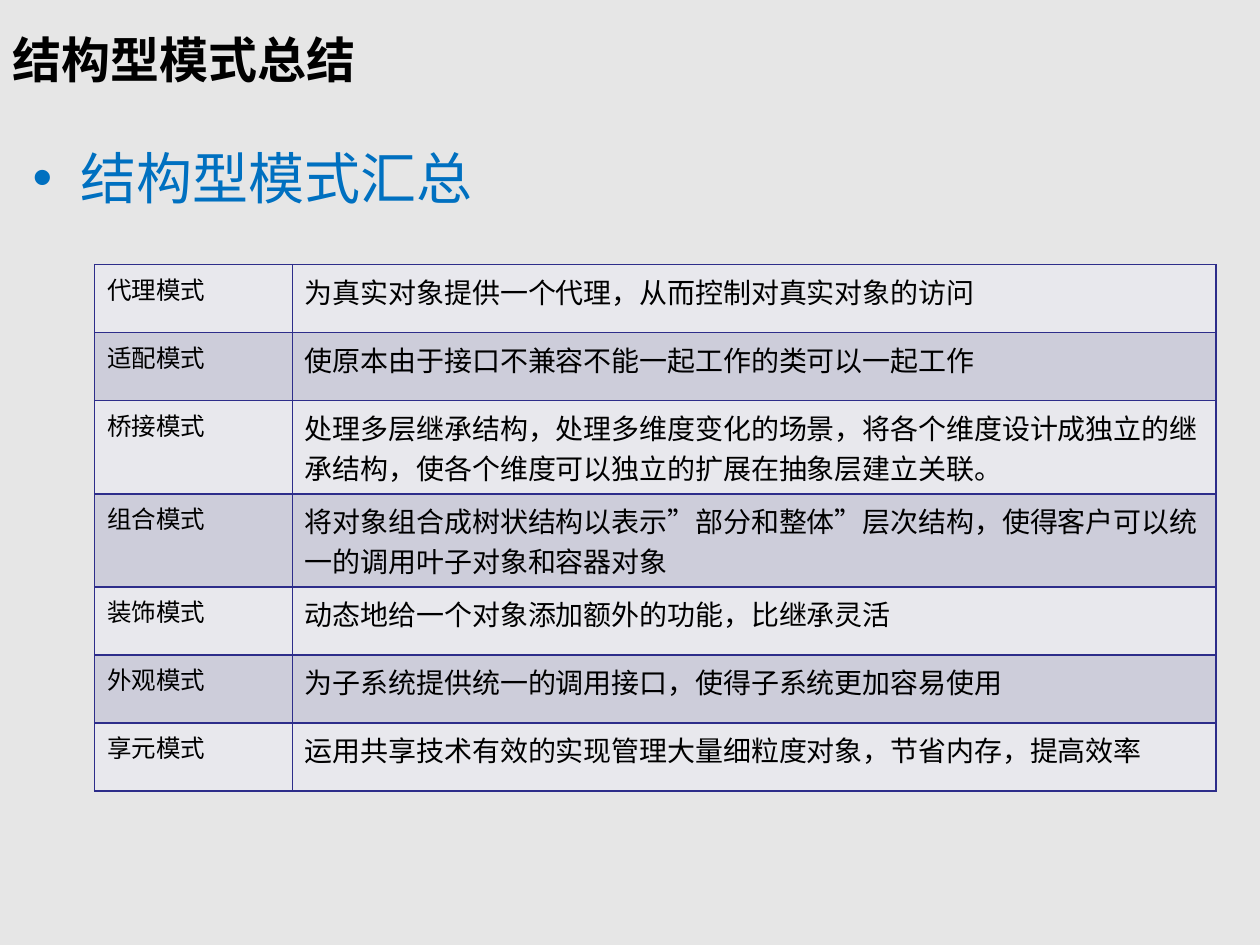
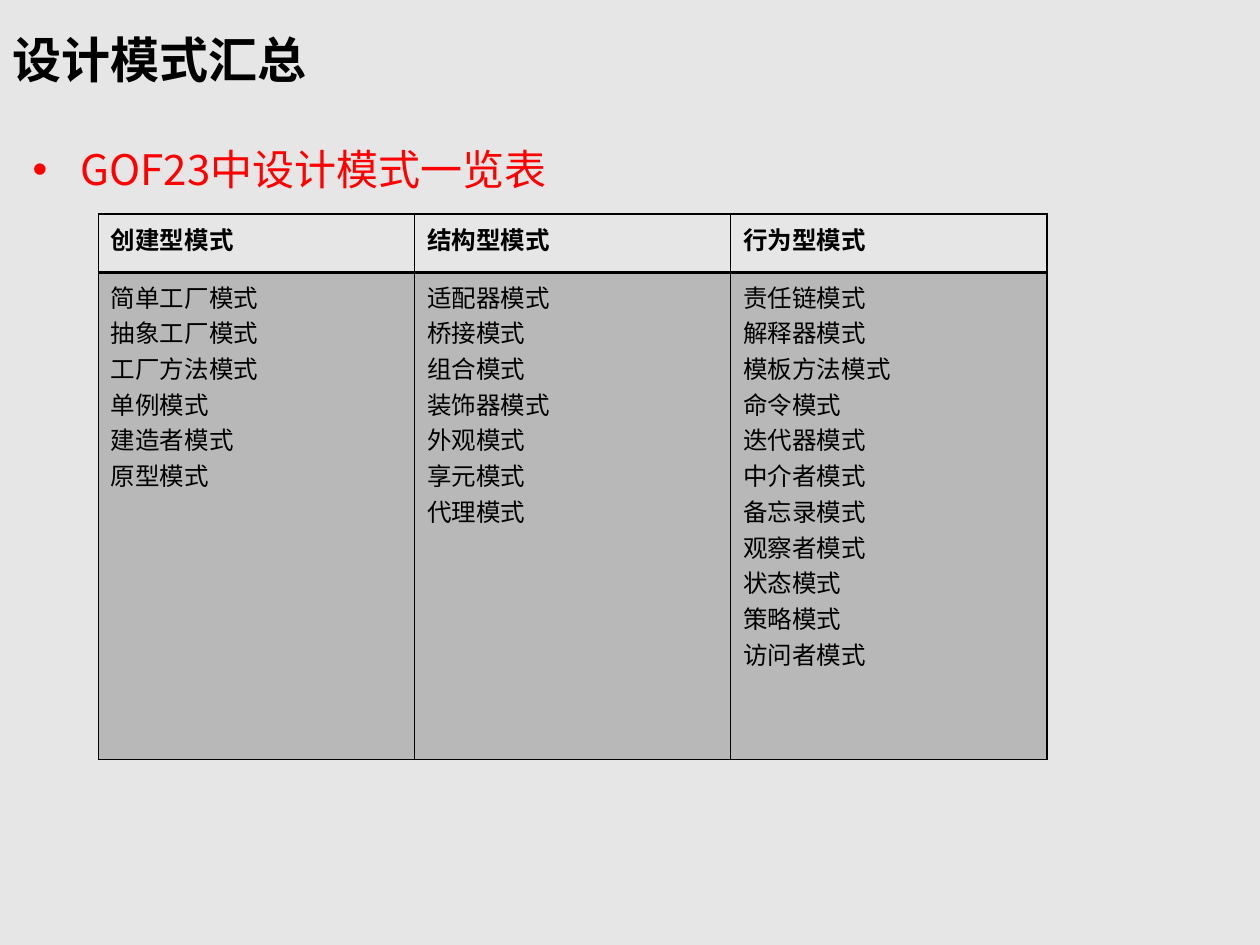
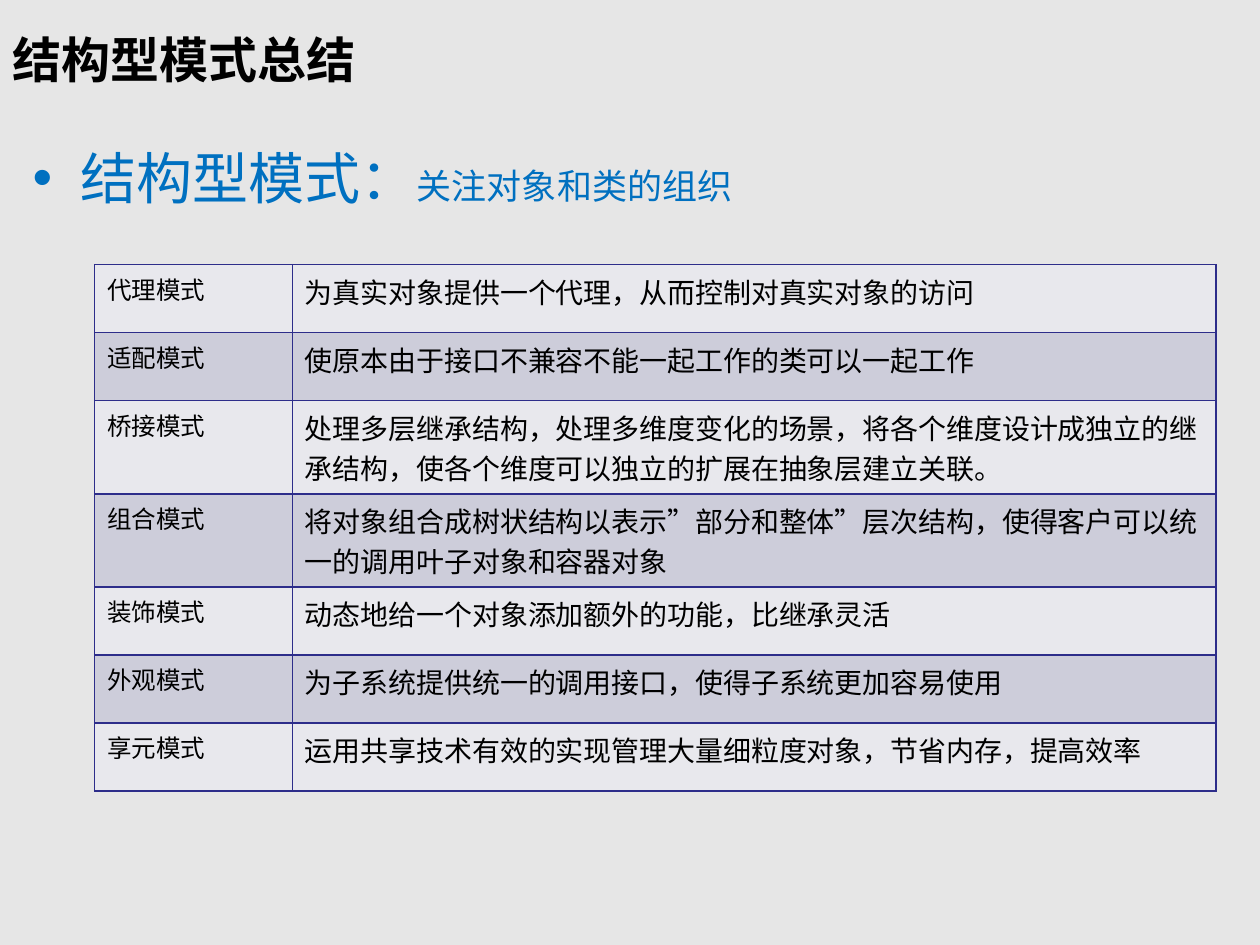
from lxml import etree
from pptx import Presentation
from pptx.dml.color import RGBColor
from pptx.enum.text import MSO_ANCHOR, PP_ALIGN
from pptx.oxml.ns import qn
from pptx.util import Inches, Pt

MIDDLE, LEFT = MSO_ANCHOR.MIDDLE, PP_ALIGN.LEFT
TITLE_ONLY = 5

BLACK = RGBColor(0x00, 0x00, 0x00)
GREY = RGBColor(0xE6, 0xE6, 0xE6)
BLUE = RGBColor(0x00, 0x70, 0xC0)
RED = RGBColor(0xFF, 0x00, 0x00)
NAVY = RGBColor(0x2D, 0x2D, 0x8A)
BANDS = (RGBColor(0xE8, 0xE8, 0xED), RGBColor(0xCD, 0xCD, 0xDA))
TITLE_FONT, TABLE_FONT, CJK_FONT = "Arial", "Cabin", "Noto Sans CJK SC"

# Summary rows: a description longer than one line needs a taller row
LINE_CHARS = 32
ONE_LINE_ROW, TWO_LINE_ROW = 0.54, 0.74

SUMMARY = [
    ("代理模式", "为真实对象提供一个代理，从而控制对真实对象的访问"),
    ("适配模式", "使原本由于接口不兼容不能一起工作的类可以一起工作"),
    ("桥接模式", "处理多层继承结构，处理多维度变化的场景，将各个维度设计成独立的继承结构，"
     "使各个维度可以独立的扩展在抽象层建立关联。"),
    ("组合模式", "将对象组合成树状结构以表示”部分和整体”层次结构，"
     "使得客户可以统一的调用叶子对象和容器对象"),
    ("装饰模式", "动态地给一个对象添加额外的功能，比继承灵活"),
    ("外观模式", "为子系统提供统一的调用接口，使得子系统更加容易使用"),
    ("享元模式", "运用共享技术有效的实现管理大量细粒度对象，节省内存，提高效率"),
]
CATALOGUE = {
    "创建型模式": ["简单工厂模式", "抽象工厂模式", "工厂方法模式", "单例模式",
              "建造者模式", "原型模式"],
    "结构型模式": ["适配器模式", "桥接模式", "组合模式", "装饰器模式", "外观模式",
              "享元模式", "代理模式"],
    "行为型模式": ["责任链模式", "解释器模式", "模板方法模式", "命令模式", "迭代器模式",
              "中介者模式", "备忘录模式", "观察者模式", "状态模式", "策略模式",
              "访问者模式"],
}


def add_run(p, text, size, font, color=BLACK, bold=False):
    r = p.add_run()
    r.text = text
    r.font.size, r.font.name, r.font.bold = Pt(size), font, bold
    r.font.color.rgb = color
    latin = r._r.get_or_add_rPr().find(qn("a:latin"))
    ea = etree.Element(qn("a:ea"), typeface=CJK_FONT)
    latin.addnext(ea)


def add_titled_slide(prs, title, width):
    s = prs.slides.add_slide(prs.slide_layouts[TITLE_ONLY])
    sp = s.shapes.title
    sp.left, sp.top, sp.width, sp.height = 0, 0, Inches(width), Inches(0.94)
    sp.fill.solid()
    sp.fill.fore_color.rgb = GREY
    tf = sp.text_frame
    tf.vertical_anchor = MIDDLE
    p = tf.paragraphs[0]
    p.alignment = LEFT
    add_run(p, title, 28, TITLE_FONT, bold=True)
    return s


def add_bullet(s, runs, color):
    """Add one bulleted line made of (text, size) runs."""
    sp = s.shapes.add_textbox(Inches(0.16), Inches(1.09), Inches(9.61), Inches(5.55))
    tf = sp.text_frame
    tf.word_wrap = True
    p = tf.paragraphs[0]
    pPr = p._p.get_or_add_pPr()
    pPr.set("marL", str(Inches(0.38)))
    pPr.set("indent", str(-Inches(0.38)))
    etree.SubElement(pPr, qn("a:buFont"), typeface="Arial")
    etree.SubElement(pPr, qn("a:buChar"), char="•")
    for text, size in runs:
        add_run(p, text, size, CJK_FONT, color)


def add_plain_table(s, left, top, widths, heights):
    frame = s.shapes.add_table(len(heights), len(widths), Inches(left), Inches(top),
                               Inches(sum(widths)), Inches(sum(heights)))
    table = frame.table
    table.first_row = table.horz_banding = False
    for column, width in zip(table.columns, widths):
        column.width = Inches(width)
    for row, height in zip(table.rows, heights):
        row.height = Inches(height)
    return table


def set_borders(cell, color, left=1, right=1, top=1, bottom=1):
    tcPr = cell._tc.get_or_add_tcPr()
    for side, width in zip("LRTB", (left, right, top, bottom)):
        ln = etree.SubElement(tcPr, qn(f"a:ln{side}"), w=str(Pt(width)))
        fill = etree.SubElement(ln, qn("a:solidFill"))
        etree.SubElement(fill, qn("a:srgbClr"), val=str(color))


def fill_cell(cell, color, alpha=None):
    cell.fill.solid()
    cell.fill.fore_color.rgb = color
    if alpha is not None:
        clr = cell._tc.tcPr.find(qn("a:solidFill"))[0]
        etree.SubElement(clr, qn("a:alpha"), val=str(alpha * 1000))


def write_cell(cell, lines, size, font, bold=False):
    tf = cell.text_frame
    for i, line in enumerate(lines):
        p = tf.add_paragraph() if i else tf.paragraphs[0]
        add_run(p, line, size, font, bold=bold)


def add_summary_table(s):
    heights = [TWO_LINE_ROW if len(text) > LINE_CHARS else ONE_LINE_ROW
               for _, text in SUMMARY]
    table = add_plain_table(s, 0.75, 2.1, (1.57, 7.33), heights)
    styles = ((14, CJK_FONT), (16, TABLE_FONT))
    for i, row in enumerate(SUMMARY):
        for j, (text, (size, font)) in enumerate(zip(row, styles)):
            cell = table.cell(i, j)
            set_borders(cell, NAVY)
            fill_cell(cell, BANDS[i % 2])
            write_cell(cell, [text], size, font)


def add_catalogue_table(s):
    table = add_plain_table(s, 0.78, 1.7, [2.51] * len(CATALOGUE), (0.46, 3.87))
    for j, (category, patterns) in enumerate(CATALOGUE.items()):
        head, body = table.cell(0, j), table.cell(1, j)
        set_borders(head, BLACK, bottom=2)
        head.fill.background()
        write_cell(head, [category], 14, TABLE_FONT, bold=True)
        set_borders(body, BLACK, top=2)
        fill_cell(body, BLACK, alpha=20)
        write_cell(body, patterns, 14, TABLE_FONT)


def add_summary_slide(prs, runs):
    s = add_titled_slide(prs, "结构型模式总结", 7.76)
    add_bullet(s, runs, BLUE)
    add_summary_table(s)


def main():
    prs = Presentation()
    prs.slide_width, prs.slide_height = Inches(10), Inches(7.5)
    background = prs.slide_master.background.fill
    background.solid()
    background.fore_color.rgb = GREY

    # Structural patterns
    add_summary_slide(prs, [("结构型模式汇总", 32)])

    # All patterns by category
    s = add_titled_slide(prs, "设计模式汇总", 10)
    add_bullet(s, [("GOF23中设计模式一览表", 24)], RED)
    add_catalogue_table(s)

    # Structural patterns with their focus
    add_summary_slide(prs, [("结构型模式：", 32), ("关注对象和类的组织", 20)])

    prs.save("out.pptx")


if __name__ == "__main__":
    main()
